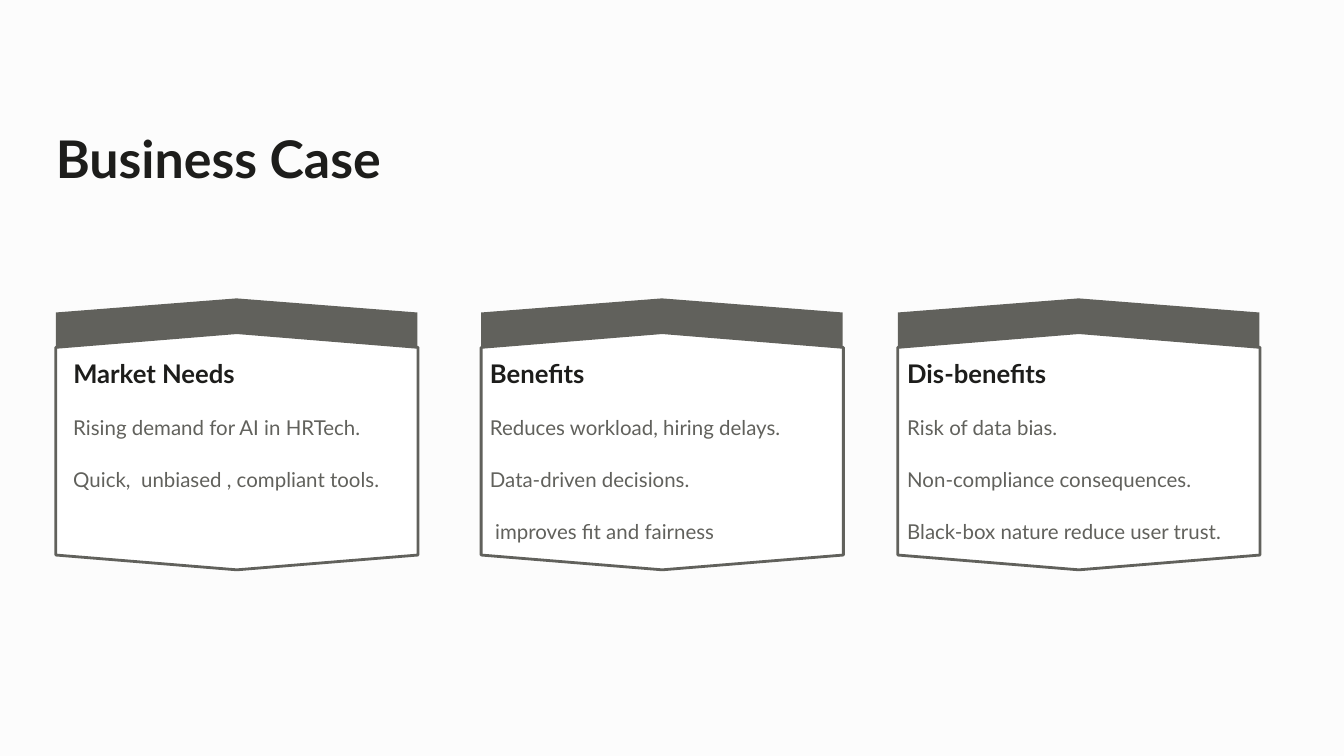
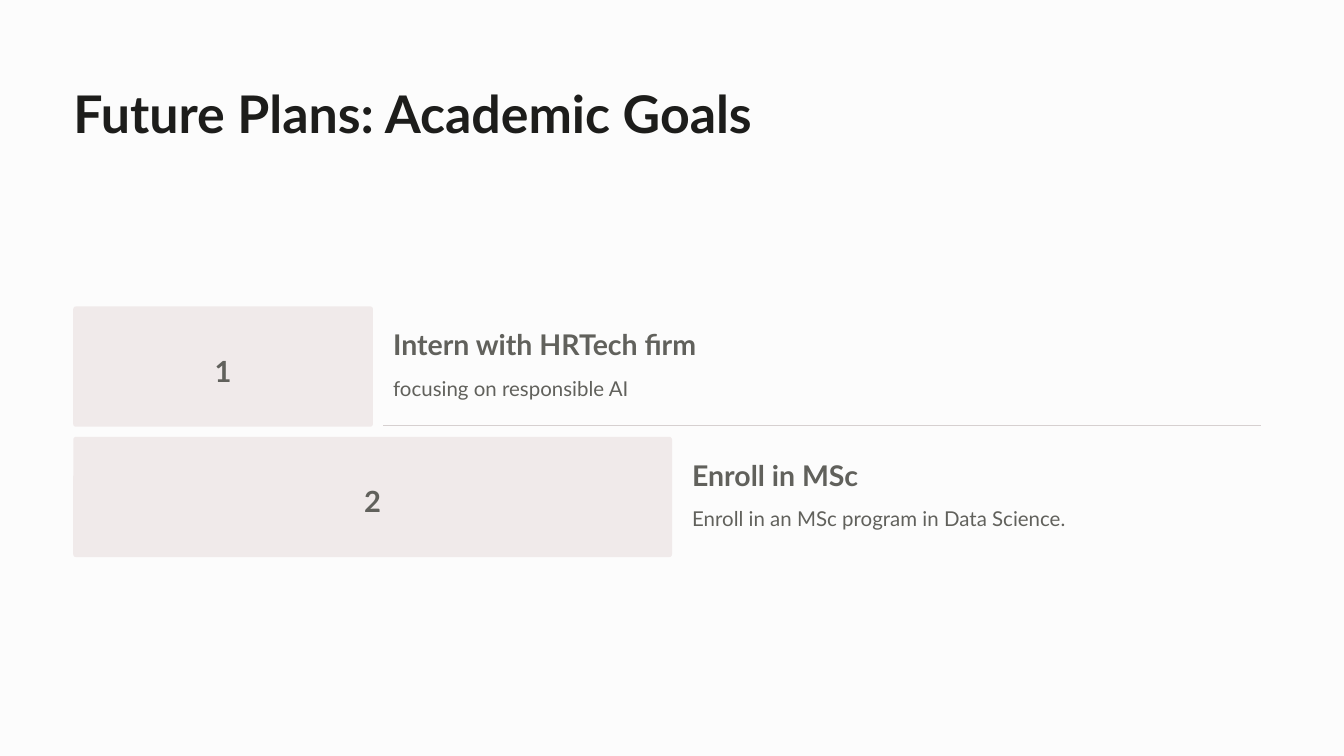
"""Build the business case and future plans slides."""
import pptx
import pptx.dml.color
import pptx.enum.shapes
import pptx.enum.text
import pptx.oxml.ns
import pptx.util
from lxml import etree

Inches = pptx.util.Inches
Pt = pptx.util.Pt
RGBColor = pptx.dml.color.RGBColor

PAPER = RGBColor(0xFC, 0xFC, 0xFC)
WHITE = RGBColor(0xFF, 0xFF, 0xFF)
INK = RGBColor(0x1D, 0x1D, 0x1B)
GRAY = RGBColor(0x61, 0x61, 0x5C)
BLUSH = RGBColor(0xF0, 0xEA, 0xEA)
DIVIDER = RGBColor(0xD6, 0xD0, 0xD0)

FONT = "Lato"
TITLE = (55.6, 69.4, INK, True)
CARD_HEADING = (27.5, 34.4, INK, True)
BODY = (21.9, 35.6, GRAY, False)
NUMBER = (31.2, 50, GRAY, True)
GOAL_HEADING = (30.5, 38.1, GRAY, True)


def add_text(slide, text, left, top, width, height, style, centered=False):
    size, line_spacing, color, bold = style
    box = slide.shapes.add_textbox(Inches(left), Inches(top), Inches(width), Inches(height))
    frame = box.text_frame
    frame.word_wrap = True
    frame.margin_left = frame.margin_top = frame.margin_right = frame.margin_bottom = 0
    paragraph = frame.paragraphs[0]
    paragraph.line_spacing = Pt(line_spacing)
    if centered:
        paragraph.alignment = pptx.enum.text.PP_ALIGN.CENTER
    run = paragraph.add_run()
    run.text = text
    run.font.name = FONT
    run.font.size = Pt(size)
    run.font.bold = bold
    run.font.color.rgb = color


def add_chevron_panel(slide, left, top, width, height, peak, fill):
    right, middle, bottom = left + width, left + width / 2, top + height
    builder = slide.shapes.build_freeform(Inches(left), Inches(top + peak))
    corners = [(middle, top), (right, top + peak), (right, bottom - peak),
               (middle, bottom), (left, bottom - peak)]
    builder.add_line_segments([(Inches(x), Inches(y)) for x, y in corners], close=True)
    shape = builder.convert_to_shape()
    shape.shadow.inherit = False
    shape.fill.solid()
    shape.fill.fore_color.rgb = fill
    return shape


presentation = pptx.Presentation()
presentation.slide_width = Inches(20)
presentation.slide_height = Inches(11.25)

slides = []
for title, left, top, width in [
    ("Business Case", 0.83, 1.84, 7.75),
    ("Future Plans: Academic Goals", 1.09, 1.17, 11.65),
]:
    slide = presentation.slides.add_slide(presentation.slide_layouts[6])
    slide.background.fill.solid()
    slide.background.fill.fore_color.rgb = PAPER
    add_text(slide, title, left, top, width, 0.99, TITLE)
    slides.append(slide)
business_slide, plans_slide = slides

cards = [
    (0.83, 1.09, "Market Needs",
     ["Rising demand for AI in HRTech.", "Quick,  unbiased , compliant tools."]),
    (7.16, 7.29, "Benefits",
     ["Reduces workload, hiring delays.", "Data-driven decisions.", " improves fit and fairness"]),
    (13.36, 13.5, "Dis-benefits",
     ["Risk of data bias.", "Non-compliance consequences.",
      "Black-box nature reduce user trust."]),
]
for card_left, text_left, heading, points in cards:
    band = add_chevron_panel(business_slide, card_left, 4.44, 5.38, 2.95, 0.21, GRAY)
    band.line.fill.background()
    panel = add_chevron_panel(business_slide, card_left, 4.95, 5.39, 3.53, 0.22, WHITE)
    panel.line.color.rgb = GRAY
    panel.line.width = Pt(3)
    add_text(business_slide, heading, text_left, 5.31, 3.88, 0.5, CARD_HEADING)
    for index, point in enumerate(points):
        add_text(business_slide, point, text_left, 6.04 + index * 0.78, 5.44, 0.57, BODY)

BLOCK_LEFT, BLOCK_TOP, BLOCK_HEIGHT, BLOCK_STEP = 1.09, 4.56, 1.79, 1.94
goals = [
    (4.46, "Intern with HRTech firm", "focusing on responsible AI"),
    (8.91, "Enroll in MSc", "Enroll in an MSc program in Data Science."),
]
for index, (block_width, heading, detail) in enumerate(goals):
    top = BLOCK_TOP + index * BLOCK_STEP
    block = plans_slide.shapes.add_shape(
        pptx.enum.shapes.MSO_SHAPE.ROUNDED_RECTANGLE,
        Inches(BLOCK_LEFT), Inches(top), Inches(block_width), Inches(BLOCK_HEIGHT))
    block.adjustments[0] = 0.04 / BLOCK_HEIGHT
    block.shadow.inherit = False
    block.fill.solid()
    block.fill.fore_color.rgb = BLUSH
    block.line.fill.background()
    number_left = BLOCK_LEFT + block_width / 2 - 0.22
    add_text(plans_slide, str(index + 1), number_left, top + 0.52, 0.44, 0.64, NUMBER, True)
    text_left = BLOCK_LEFT + block_width + 0.3
    add_text(plans_slide, heading, text_left, top + 0.29, 5.92, 0.73, GOAL_HEADING)
    add_text(plans_slide, detail, text_left, top + 0.9, 6.78, 0.57, BODY)

divider = plans_slide.shapes.add_connector(
    pptx.enum.shapes.MSO_CONNECTOR.STRAIGHT,
    Inches(5.7), Inches(6.33), Inches(18.76), Inches(6.33))
divider.line.color.rgb = DIVIDER
divider.line.width = Pt(1.4)
etree.SubElement(divider._element.spPr, pptx.oxml.ns.qn("a:effectLst"))

presentation.save("out.pptx")
